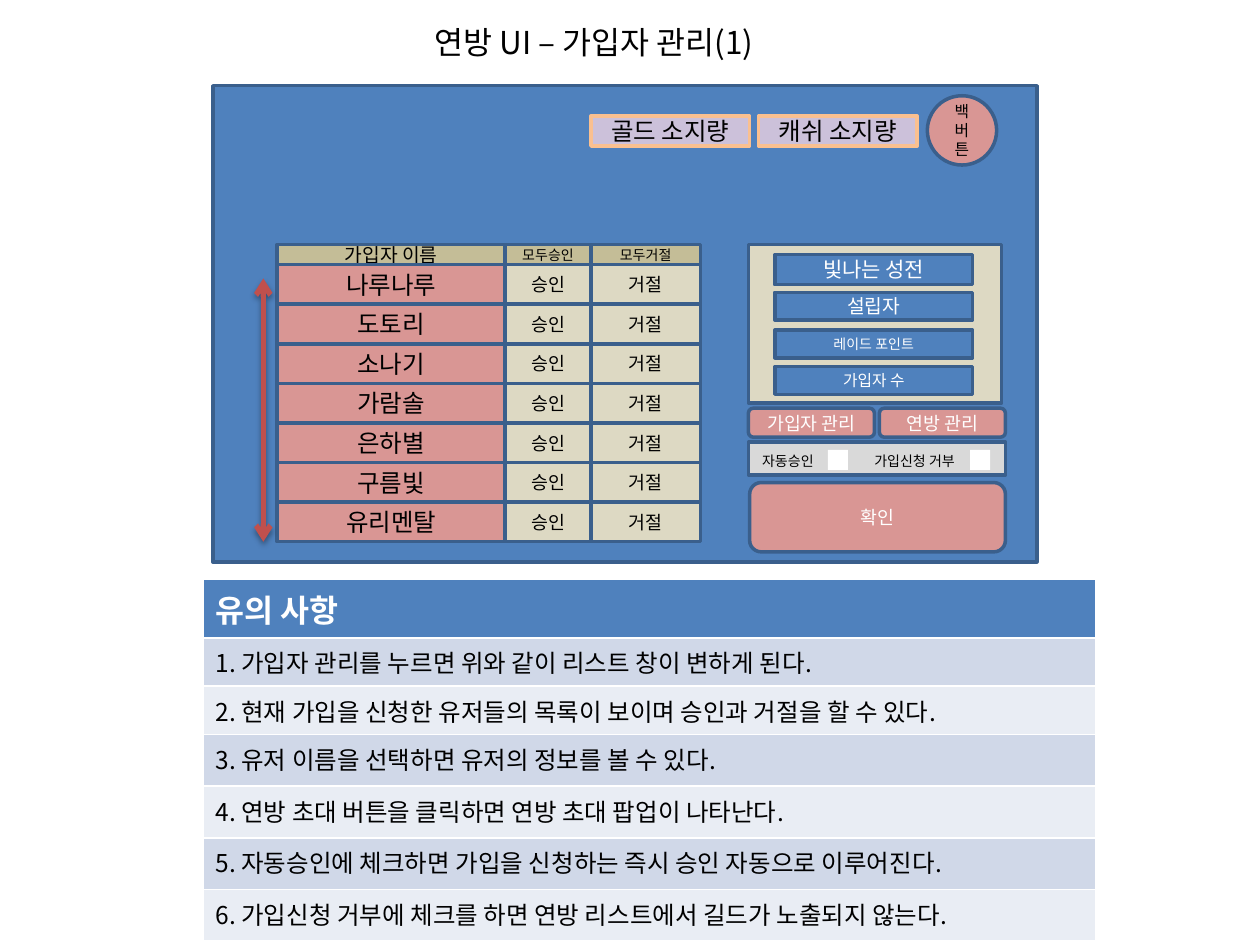
"""Build the slide that explains the member management screen."""
import dataclasses

import lxml.etree
import pptx
import pptx.dml.color
import pptx.enum.shapes
import pptx.enum.text
import pptx.oxml.ns
import pptx.util

SHAPES = pptx.enum.shapes.MSO_SHAPE
ALIGN = pptx.enum.text.PP_ALIGN
ANCHOR = pptx.enum.text.MSO_ANCHOR


@dataclasses.dataclass(frozen=True)
class Theme:
    """Hold the font, colours and type sizes of the slide."""
    font: str = "Noto Sans CJK KR"
    black: str = "000000"
    white: str = "FFFFFF"
    blue: str = "4F81BD"
    outline: str = "3A5F8C"
    rose: str = "D99694"
    sand: str = "DDD9C3"
    khaki: str = "C4BD97"
    lilac: str = "CCC1DA"
    orange: str = "FAC090"
    gray: str = "D9D9D9"
    red: str = "C0504D"
    bands: tuple = ("D0D8E8", "E9EDF4")
    title: float = 18
    body: float = 14
    guild: float = 12
    heading: float = 11
    button: float = 10.5
    small: float = 9
    tiny: float = 8
    border: float = 2
    arrow: float = 3


@dataclasses.dataclass(frozen=True)
class Box:
    """Hold a rectangle on a grid of 1000 columns and 750 rows."""
    left: float
    top: float
    width: float
    height: float

    def inside(self, left, top, width, height):
        """Return a box placed relative to this one."""
        return Box(self.left + left, self.top + top, width, height)

    def lengths(self):
        """Return the left, top, width and height as slide lengths."""
        return [grid(value) for value in (self.left, self.top, self.width, self.height)]


THEME = Theme()
SLIDE = Box(0, 0, 1000, 750)


def grid(steps):
    """Turn grid steps into a slide length."""
    return pptx.util.Inches(steps / 100)


def rgb(color):
    """Turn a hexadecimal string into a colour."""
    return pptx.dml.color.RGBColor.from_string(color)


def write(frame, text, size, color=THEME.black, align=ALIGN.LEFT, bold=False):
    """Write one run of text into the first paragraph of a frame."""
    paragraph = frame.paragraphs[0]
    paragraph.alignment = align
    run = paragraph.add_run()
    run.text = text
    run.font.name = THEME.font
    run.font.size = pptx.util.Pt(size)
    run.font.bold = bold
    run.font.color.rgb = rgb(color)
    east_asian = lxml.etree.SubElement(run.font._element, pptx.oxml.ns.qn("a:ea"))
    east_asian.set("typeface", THEME.font)


def add_block(slide, box, fill, text="", size=THEME.body, color=THEME.black,
              kind=SHAPES.RECTANGLE, outline=THEME.outline):
    """Add a filled shape with optional centred text."""
    shape = slide.shapes.add_shape(kind, *box.lengths())
    shape.shadow.inherit = False
    shape.fill.solid()
    shape.fill.fore_color.rgb = rgb(fill)
    if outline:
        shape.line.color.rgb = rgb(outline)
        shape.line.width = pptx.util.Pt(THEME.border)
    else:
        shape.line.fill.background()
    if text:
        shape.text_frame.vertical_anchor = ANCHOR.MIDDLE
        write(shape.text_frame, text, size, color, ALIGN.CENTER)


def add_label(slide, box, text):
    """Add a small label that does not wrap."""
    label = slide.shapes.add_textbox(*box.lengths())
    label.text_frame.word_wrap = False
    write(label.text_frame, text, THEME.tiny)


def add_scroll_arrow(slide, box):
    """Add the shadowed double arrow along the left edge of a box."""
    left, top, _, height = box.lengths()
    arrow = slide.shapes.add_connector(
        pptx.enum.shapes.MSO_CONNECTOR.STRAIGHT, left, top + height, left, top)
    arrow.line.color.rgb = rgb(THEME.red)
    arrow.line.width = pptx.util.Pt(THEME.arrow)
    qn = pptx.oxml.ns.qn
    line = arrow.line._get_or_add_ln()
    for end in ("a:headEnd", "a:tailEnd"):
        lxml.etree.SubElement(line, qn(end)).set("type", "arrow")
    effects = lxml.etree.SubElement(arrow._element.spPr, qn("a:effectLst"))
    shadow = lxml.etree.SubElement(effects, qn("a:outerShdw"), blurRad="40000",
                                   dist="23000", dir="5400000", rotWithShape="0")
    tone = lxml.etree.SubElement(shadow, qn("a:srgbClr"), val=THEME.black)
    lxml.etree.SubElement(tone, qn("a:alpha"), val="35000")


def place_title(slide, box, text):
    """Move the title placeholder into a box and fill it."""
    title = slide.shapes.title
    title.left, title.top, title.width, title.height = box.lengths()
    title.text_frame.word_wrap = False
    title.text_frame.auto_size = pptx.enum.text.MSO_AUTO_SIZE.NONE
    title.text_frame.vertical_anchor = ANCHOR.TOP
    write(title.text_frame, text, THEME.title)


def draw_notes(slide, box, heading, notes):
    """Draw the table of numbered notes under its heading."""
    table = slide.shapes.add_table(len(notes) + 1, 1, *box.lengths()).table
    heights = (41, 28, 27, 41, 41, 41, 41)
    lines = [heading] + [f"{number}. {note}" for number, note in enumerate(notes, 1)]
    for index, (height, text) in enumerate(zip(heights, lines)):
        table.rows[index].height = grid(height)
        cell = table.cell(index, 0)
        cell.fill.solid()
        if index == 0:
            cell.fill.fore_color.rgb = rgb(THEME.blue)
            write(cell.text_frame, text, THEME.title, THEME.white, bold=True)
        else:
            cell.fill.fore_color.rgb = rgb(THEME.bands[(index - 1) % 2])
            write(cell.text_frame, text, THEME.body)


def draw_wallet(slide, box):
    """Draw the two balances and the back button."""
    for column, text in enumerate(("골드 소지량", "캐쉬 소지량")):
        add_block(slide, box.inside(133 * column, 16, 126, 24), THEME.lilac, text,
                  outline=THEME.orange)
    add_block(slide, box.inside(267, 0, 55, 55), THEME.rose, "백버튼", THEME.small,
              kind=SHAPES.OVAL)


def draw_members(slide, box, names):
    """Draw the list of applicants with its scroll arrow."""
    header_height = 16
    row_height = (box.height - header_height) / len(names)
    columns = (
        (11, 181, "가입자 이름", THEME.heading, names, THEME.rose, THEME.body),
        (192, 68, "모두승인", THEME.tiny, ["승인"] * len(names), THEME.sand, THEME.button),
        (260, 87, "모두거절", THEME.tiny, ["거절"] * len(names), THEME.sand, THEME.button),
    )
    for left, width, heading, heading_size, texts, fill, size in columns:
        add_block(slide, box.inside(left, 0, width, header_height), THEME.khaki,
                  heading, heading_size)
        for row, text in enumerate(texts):
            top = header_height + row * row_height
            add_block(slide, box.inside(left, top, width, row_height), fill, text, size)
    add_scroll_arrow(slide, box.inside(0, 27, 0, box.height - 27))


def draw_guild_panel(slide, box):
    """Draw the guild facts, tabs, options and confirm button."""
    add_block(slide, box.inside(0, 0, 201, 126), THEME.sand)
    facts = (("빛나는 성전", 8, 24, THEME.guild), ("설립자", 38, 22, THEME.heading),
             ("레이드 포인트", 68, 22, THEME.tiny), ("가입자 수", 97, 22, THEME.small))
    for text, top, height, size in facts:
        add_block(slide, box.inside(21, top, 157, height), THEME.blue, text, size,
                  THEME.white)
    buttons = (("가입자 관리", (0, 130, 100, 23)), ("연방 관리", (104, 130, 100, 23)),
               ("확인", (1, 189, 203, 55)))
    for text, place in buttons:
        add_block(slide, box.inside(*place), THEME.rose, text, THEME.button,
                  THEME.white, SHAPES.ROUNDED_RECTANGLE)
    add_block(slide, box.inside(0, 157, 204, 26), THEME.gray)
    for text, left, width, check in (("자동승인", 1, 65, 63), ("가입신청 거부", 90, 92, 176)):
        add_label(slide, box.inside(left, 160, width, 24), text)
        add_block(slide, box.inside(check, 163, 16, 16), THEME.white, outline=None)


def draw_screen(slide, box):
    """Draw the game screen and its three regions."""
    add_block(slide, box, THEME.blue)
    draw_wallet(slide, box.inside(300, 8, 322, 55))
    draw_members(slide, box.inside(40, 126, 347, 236),
                 ["나루나루", "도토리", "소나기", "가람솔", "은하별", "구름빛", "유리멘탈"])
    draw_guild_panel(slide, box.inside(425, 126, 204, 244))


def main():
    """Build and save the presentation."""
    presentation = pptx.Presentation()
    presentation.slide_width = grid(SLIDE.width)
    presentation.slide_height = grid(SLIDE.height)
    slide = presentation.slides.add_slide(presentation.slide_layouts[5])
    place_title(slide, SLIDE.inside(335, 13, 299, 40), "연방 UI – 가입자 관리(1)")
    draw_notes(slide, SLIDE.inside(161, 460, 709, 260), "유의 사항", (
        "가입자 관리를 누르면 위와 같이 리스트 창이 변하게 된다.",
        "현재 가입을 신청한 유저들의 목록이 보이며 승인과 거절을 할 수 있다.",
        "유저 이름을 선택하면 유저의 정보를 볼 수 있다.",
        "연방 초대 버튼을 클릭하면 연방 초대 팝업이 나타난다.",
        "자동승인에 체크하면 가입을 신청하는 즉시 승인 자동으로 이루어진다.",
        "가입신청 거부에 체크를 하면 연방 리스트에서 길드가 노출되지 않는다."))
    draw_screen(slide, SLIDE.inside(169, 68, 654, 378))
    presentation.save("out.pptx")


main()
